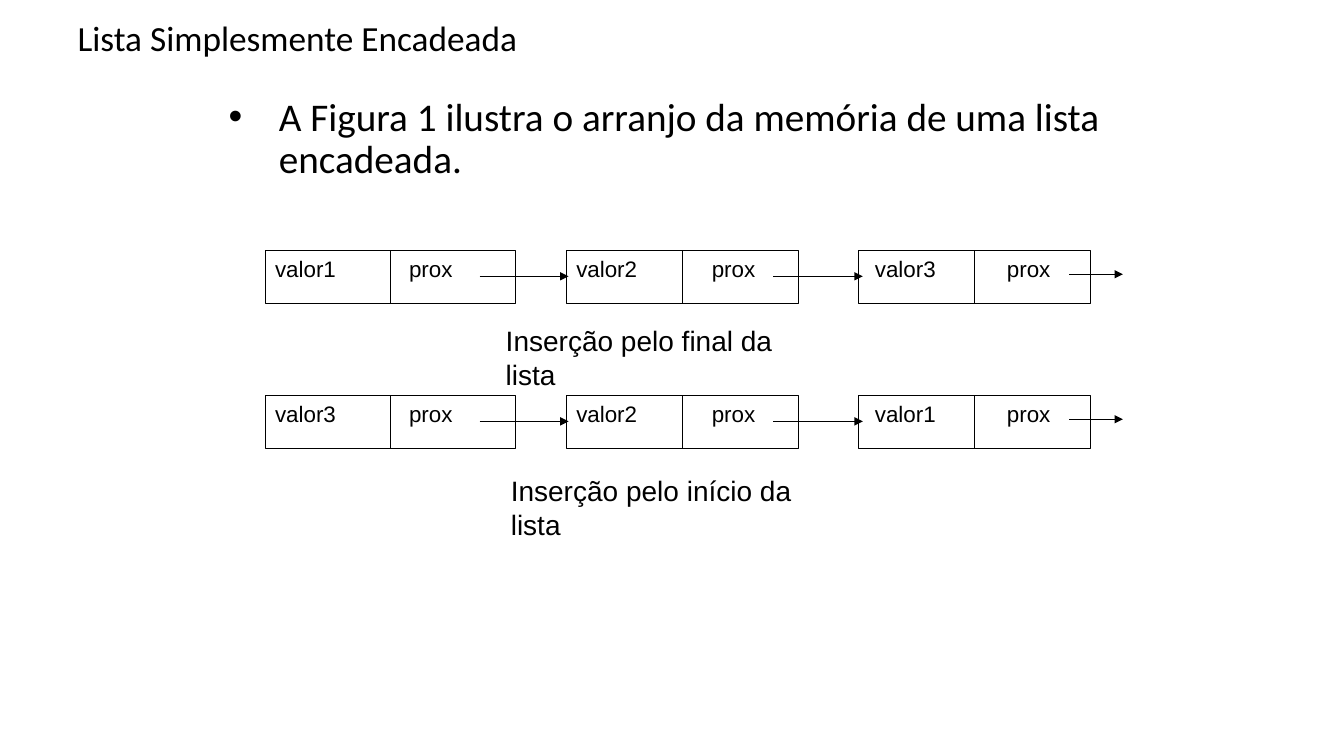
"""Builds the slide on singly linked lists with two rows of linked nodes."""
from dataclasses import dataclass

from lxml import etree
from pptx import Presentation
from pptx.dml.color import RGBColor
from pptx.enum import shapes, text
from pptx.oxml.ns import qn
from pptx.util import Pt

BLACK = "000000"
WHITE = "FFFFFF"
NODE_HEIGHT = 38.3
LINE_WIDTH = 0.75


@dataclass(frozen=True)
class NodeSlot:
    left: float
    width: float
    inset: float
    tab: float
    arrow_start: float
    arrow_end: float
    arrow_drop: float


@dataclass(frozen=True)
class ListRow:
    top: float
    values: tuple[str, ...]
    caption: str
    caption_left: float
    caption_top: float
    caption_width: float


SLOTS = (
    NodeSlot(189.4, 178.6, 7.2, 95.7, 342.7, 406.1, 18.8),
    NodeSlot(404.6, 165.6, 7.2, 96.8, 552.2, 616.3, 18.8),
    NodeSlot(613.4, 165.6, 11.6, 94.3, 763.9, 802.1, 17.3),
)
ROWS = (
    ListRow(178.6, ("valor1", "valor2", "valor3"),
            "Inserção pelo final da lista", 354.2, 227.5, 236),
    ListRow(282.2, ("valor3", "valor2", "valor1"),
            "Inserção pelo início da lista", 357.8, 334.8, 244),
)


def color(value: str) -> RGBColor:
    return RGBColor.from_string(value)


def place(shape, left: float, top: float, width: float, height: float) -> None:
    shape.left, shape.top = Pt(left), Pt(top)
    shape.width, shape.height = Pt(width), Pt(height)


def write(shape, content: str, font: str, size: float):
    frame = shape.text_frame
    frame.text = content
    frame.word_wrap = True
    frame.vertical_anchor = text.MSO_ANCHOR.TOP
    paragraph = frame.paragraphs[0]
    paragraph.alignment = text.PP_ALIGN.LEFT
    for run in paragraph.runs:
        run.font.name = font
        run.font.size = Pt(size)
        run.font.color.rgb = color(BLACK)
    return paragraph


def add_line(group, start: tuple[float, float], end: tuple[float, float],
             arrow: bool = False) -> None:
    points = [Pt(value) for value in (*start, *end)]
    connector = group.shapes.add_connector(shapes.MSO_CONNECTOR.STRAIGHT, *points)
    connector.line.color.rgb = color(BLACK)
    connector.line.width = Pt(LINE_WIDTH)
    if arrow:
        outline = connector.line._get_or_add_ln()
        etree.SubElement(outline, qn("a:tailEnd"), type="triangle")
    etree.SubElement(connector._element.spPr, qn("a:effectLst"))


def add_node(group, slot: NodeSlot, top: float, value: str) -> None:
    box = group.shapes.add_shape(shapes.MSO_SHAPE.RECTANGLE, 0, 0, 0, 0)
    place(box, slot.left, top, slot.width, NODE_HEIGHT)
    box.shadow.inherit = False
    box.fill.solid()
    box.fill.fore_color.rgb = color(WHITE)
    box.line.color.rgb = color(BLACK)
    box.line.width = Pt(LINE_WIDTH)
    box.text_frame.margin_left = Pt(slot.inset)
    paragraph = write(box, f"{value}\tprox", "Arial", 16)
    tabs = etree.SubElement(paragraph._p.get_or_add_pPr(), qn("a:tabLst"))
    etree.SubElement(tabs, qn("a:tab"), pos=str(Pt(slot.tab)), algn="l")
    middle = slot.left + slot.width / 2
    add_line(group, (middle, top), (middle, top + NODE_HEIGHT))


def add_row(slide, row: ListRow) -> None:
    group = slide.shapes.add_group_shape()
    for slot, value in zip(SLOTS, row.values):
        add_node(group, slot, row.top, value)
    for slot in SLOTS:
        level = row.top + slot.arrow_drop
        add_line(group, (slot.arrow_start, level), (slot.arrow_end, level), arrow=True)
    caption = slide.shapes.add_textbox(0, 0, 0, 0)
    place(caption, row.caption_left, row.caption_top, row.caption_width, 31)
    write(caption, row.caption, "Arial", 20)


def add_title(slide) -> None:
    title = slide.shapes.title
    place(title, 48.2, 12.2, 760.3, 32.4)
    paragraph = write(title, "Lista Simplesmente Encadeada", "Calibri", 25.2)
    paragraph.line_spacing = 0.9
    title.text_frame.vertical_anchor = text.MSO_ANCHOR.MIDDLE


def add_body(slide) -> None:
    body = slide.shapes.add_textbox(0, 0, 0, 0)
    place(body, 156.2, 66.2, 648, 410.4)
    paragraph = write(
        body, "A Figura 1 ilustra o arranjo da memória de uma lista encadeada.",
        "Calibri", 28)
    paragraph.line_spacing = 0.9
    paragraph.space_before = Pt(10)
    properties = paragraph._p.get_or_add_pPr()
    properties.set("marL", str(Pt(36)))
    properties.set("indent", str(-Pt(36)))
    etree.SubElement(properties, qn("a:buFont"), typeface="Arial")
    etree.SubElement(properties, qn("a:buChar"), char="•")


def main() -> None:
    presentation = Presentation()
    presentation.slide_width, presentation.slide_height = Pt(960), Pt(540)
    slide = presentation.slides.add_slide(presentation.slide_layouts[5])
    add_title(slide)
    add_body(slide)
    for row in ROWS:
        add_row(slide, row)
    presentation.save("out.pptx")


if __name__ == "__main__":
    main()
